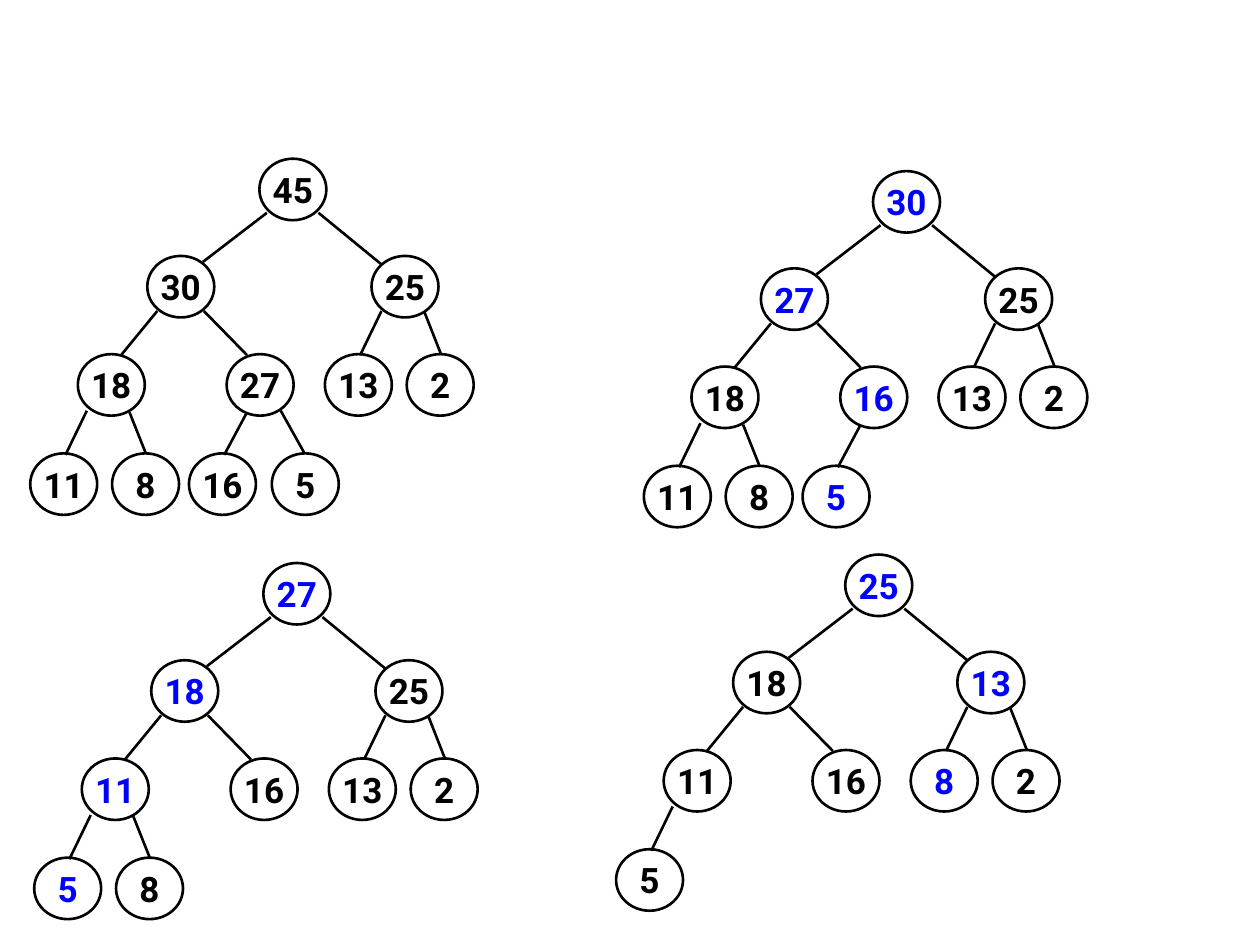
from dataclasses import dataclass

from lxml import etree
from pptx import Presentation
from pptx.dml.color import RGBColor
from pptx.enum.shapes import MSO_CONNECTOR, MSO_SHAPE
from pptx.enum.text import MSO_ANCHOR, PP_ALIGN
from pptx.oxml.ns import qn
from pptx.util import Cm, Pt

ELLIPSE = MSO_SHAPE.OVAL
STRAIGHT = MSO_CONNECTOR.STRAIGHT
MIDDLE = MSO_ANCHOR.MIDDLE
CENTER = PP_ALIGN.CENTER
BLANK_LAYOUT = 6


@dataclass(frozen=True)
class Theme:
    font: str = "Roboto"
    size: float = 20
    line_width: float = 1.5
    ink: RGBColor = RGBColor(0, 0, 0)
    changed: RGBColor = RGBColor(0, 0, 255)
    node_width: float = 1.35
    node_height: float = 1.24


NODE_OFFSETS = {
    1: (0, 0),
    2: (-2.26, 1.96),
    3: (2.26, 1.96),
    4: (-3.66, 3.94),
    5: (-0.66, 3.94),
    6: (1.32, 3.94),
    7: (2.97, 3.94),
    8: (-4.62, 5.94),
    9: (-2.97, 5.94),
    10: (-1.42, 5.94),
    11: (0.25, 5.94),
}

EDGE_OFFSETS = {
    2: ((0.15, 1.09), (-1.14, 2.08)),
    3: ((1.19, 1.09), (2.46, 2.13)),
    4: ((-2.06, 3.07), (-2.79, 3.96)),
    5: ((-1.12, 3.07), (-0.25, 3.96)),
    6: ((2.46, 3.07), (2.03, 3.96)),
    7: ((3.33, 3.1), (3.66, 3.94)),
    8: ((-3.48, 5.08), (-3.91, 5.97)),
    9: ((-2.62, 5.11), (-2.29, 5.94)),
    10: ((-0.25, 5.11), (-0.71, 5.97)),
    11: ((0.43, 5.08), (0.91, 5.94)),
}

HEAPS = [
    ((5.23, 3.2), [45, 30, 25, 18, 27, 13, 2, 11, 8, 16, 5], set()),
    ((17.6, 3.45), [30, 27, 25, 18, 16, 13, 2, 11, 8, 5], {1, 2, 5, 10}),
    ((5.31, 11.35), [27, 18, 25, 11, 16, 13, 2, 5, 8], {1, 2, 4, 8}),
    ((17.04, 11.18), [25, 18, 13, 11, 16, 8, 2, 5], {1, 3, 6}),
]


def write_text(frame, text, *, font, size, color, bold=True, align=CENTER):
    frame.margin_left = frame.margin_right = 0
    frame.margin_top = frame.margin_bottom = 0
    frame.vertical_anchor = MIDDLE
    para = frame.paragraphs[0]
    para.alignment = align
    span = para.add_run()
    span.text = text
    span.font.name = font
    span.font.size = Pt(size)
    span.font.bold = bold
    span.font.color.rgb = color


class HeapSlide:
    def __init__(self, page, theme):
        self.page = page
        self.theme = theme

    def outline(self, element):
        element.line.color.rgb = self.theme.ink
        element.line.width = Pt(self.theme.line_width)

    def node(self, left, top, value, color):
        theme = self.theme
        circle = self.page.shapes.add_shape(
            ELLIPSE, Cm(left), Cm(top), Cm(theme.node_width), Cm(theme.node_height)
        )
        circle.shadow.inherit = False
        circle.fill.background()
        self.outline(circle)
        write_text(circle.text_frame, str(value), font=theme.font, size=theme.size, color=color)

    def edge(self, start, end):
        points = [Cm(length) for length in (*start, *end)]
        connector = self.page.shapes.add_connector(STRAIGHT, *points)
        self.outline(connector)
        etree.SubElement(connector._element.spPr, qn("a:effectLst"))

    def heap(self, root, values, changed):
        def place(offset):
            return root[0] + offset[0], root[1] + offset[1]

        for index, value in enumerate(values, start=1):
            if index in EDGE_OFFSETS:
                start, end = EDGE_OFFSETS[index]
                self.edge(place(start), place(end))
            color = self.theme.changed if index in changed else self.theme.ink
            self.node(*place(NODE_OFFSETS[index]), value, color)


def main():
    deck = Presentation()
    deck.slide_width = Cm(25.4)
    deck.slide_height = Cm(19.05)
    page = deck.slides.add_slide(deck.slide_layouts[BLANK_LAYOUT])
    slide = HeapSlide(page, Theme())
    for root, values, changed in HEAPS:
        slide.heap(root, values, changed)
    deck.save("out.pptx")


if __name__ == "__main__":
    main()
